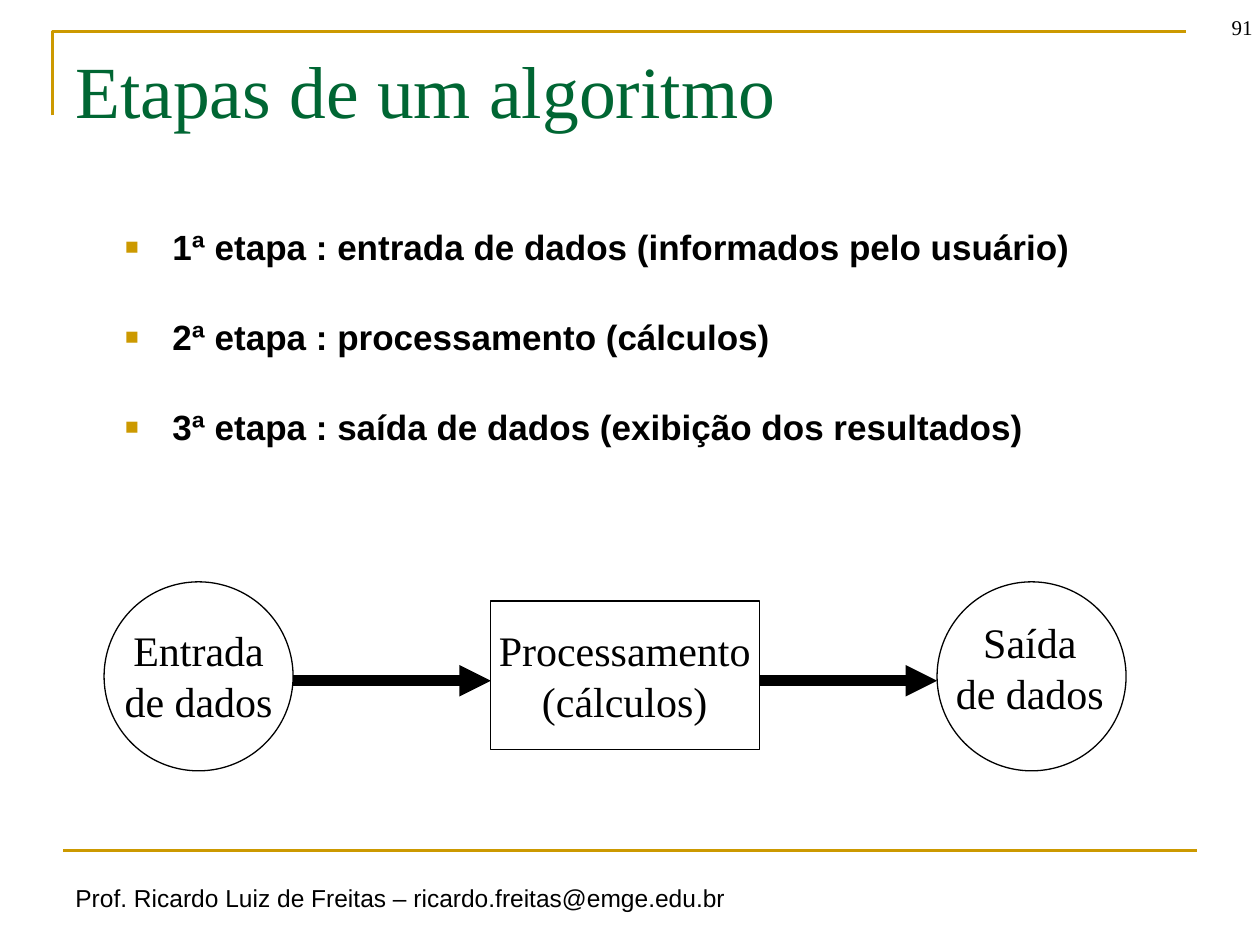
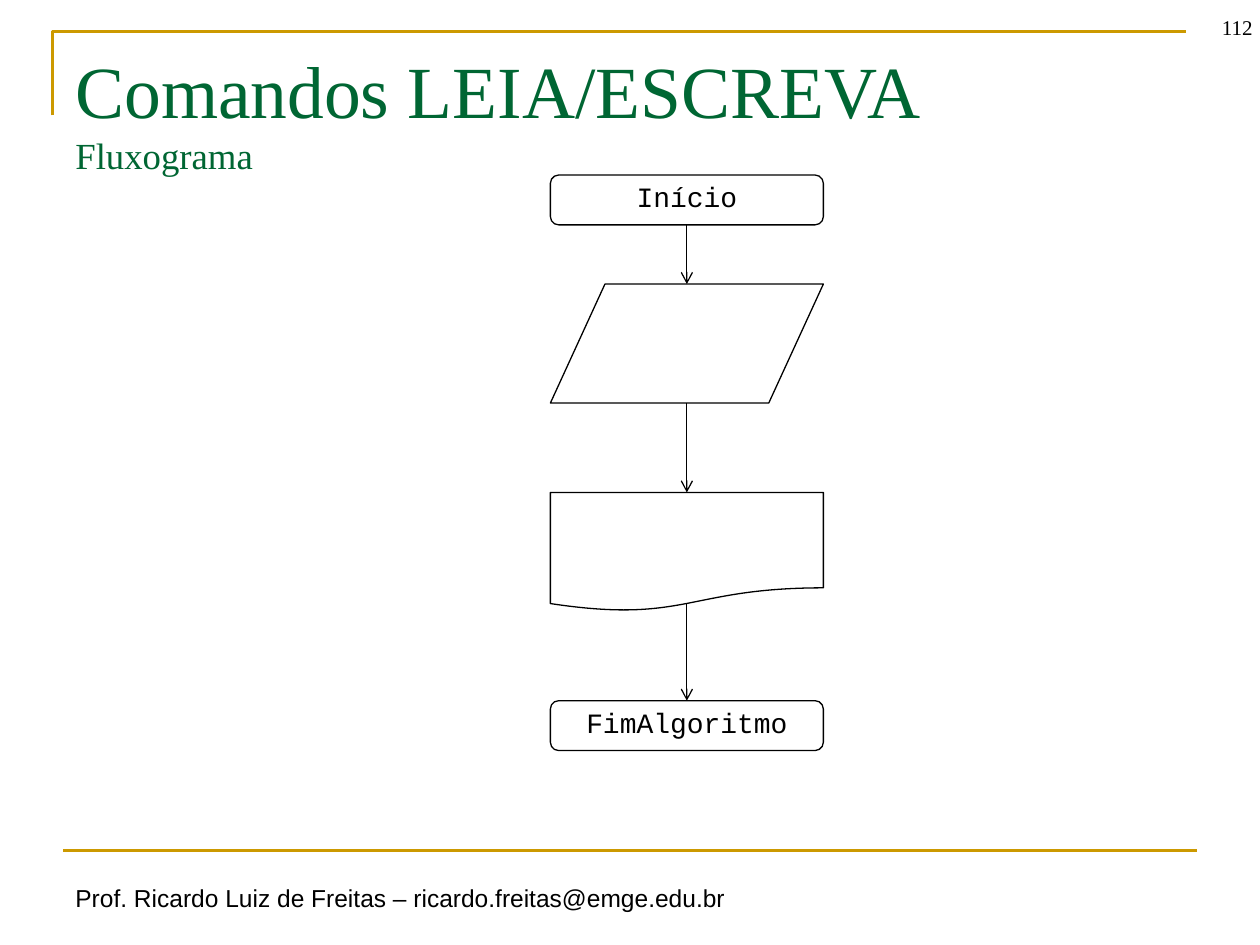
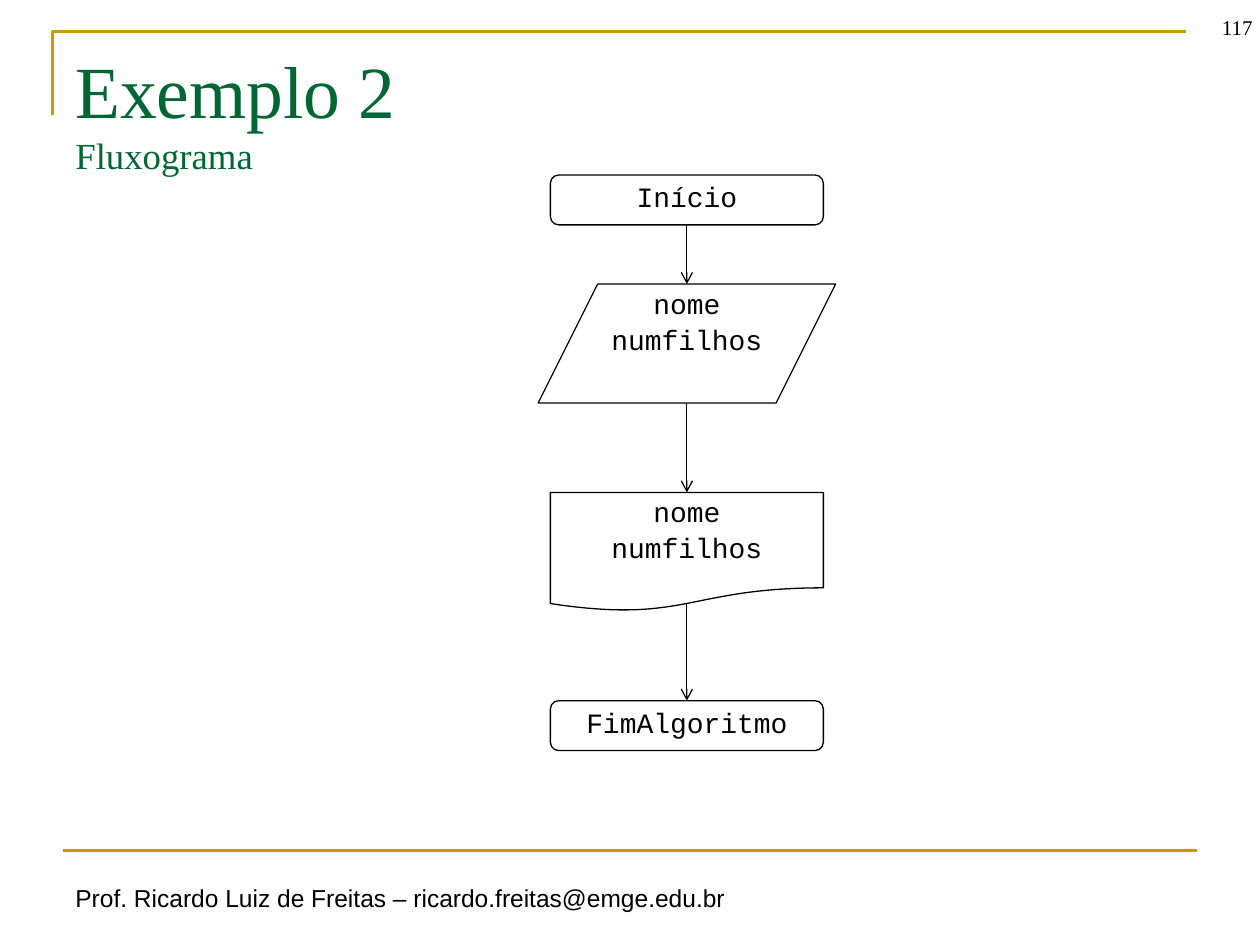
from dataclasses import dataclass

from lxml import etree
from pptx import Presentation
from pptx.dml.color import RGBColor
from pptx.enum.shapes import MSO_CONNECTOR, MSO_SHAPE
from pptx.enum.text import MSO_ANCHOR, PP_ALIGN
from pptx.oxml.ns import qn
from pptx.util import Pt

LEFT, CENTER, RIGHT = PP_ALIGN.LEFT, PP_ALIGN.CENTER, PP_ALIGN.RIGHT
TOP, BOTTOM = MSO_ANCHOR.TOP, MSO_ANCHOR.BOTTOM
STRAIGHT = MSO_CONNECTOR.STRAIGHT
OVAL, RECTANGLE = MSO_SHAPE.OVAL, MSO_SHAPE.RECTANGLE
TERMINAL = MSO_SHAPE.FLOWCHART_ALTERNATE_PROCESS
INPUT, DOCUMENT = MSO_SHAPE.FLOWCHART_DATA, MSO_SHAPE.FLOWCHART_DOCUMENT


@dataclass(frozen=True)
class Theme:
    gold: RGBColor = RGBColor(0xCC, 0x99, 0x00)
    green: RGBColor = RGBColor(0x00, 0x66, 0x33)
    black: RGBColor = RGBColor(0x00, 0x00, 0x00)
    serif: str = "Times New Roman"
    sans: str = "Arial"
    mono: str = "Courier New"
    title_size: int = 42
    subtitle_size: int = 21
    bullet_size: int = 20
    diagram_size: int = 24
    code_size: int = 16
    footer_size: int = 14
    number_size: int = 12
    band_width: float = 1.5
    outline_width: float = 0.75
    arrow_width: int = 6


THEME = Theme()


def write_text(shape, lines, *, size, font=THEME.serif, color=THEME.black, bold=False,
               align=LEFT, anchor=TOP, wrap=True, line_spacing=1.0, gap=0, bullet=None):
    frame = shape.text_frame
    frame.word_wrap = wrap
    frame.vertical_anchor = anchor
    for line in lines:
        first = not frame.text
        paragraph = frame.paragraphs[0] if first else frame.add_paragraph()
        paragraph.alignment = align
        paragraph.line_spacing = line_spacing
        paragraph.space_before = Pt(0 if first else gap)
        if bullet:
            properties = paragraph._p.get_or_add_pPr()
            properties.set("marL", str(Pt(27)))
            properties.set("indent", str(-Pt(27)))
            bullet_color = etree.SubElement(properties, qn("a:buClr"))
            etree.SubElement(bullet_color, qn("a:srgbClr"), val=str(THEME.gold))
            etree.SubElement(properties, qn("a:buSzPct"), val="65000")
            etree.SubElement(properties, qn("a:buFont"), typeface=THEME.sans)
            etree.SubElement(properties, qn("a:buChar"), char=bullet)
        run = paragraph.add_run()
        run.text = line
        run.font.name = font
        run.font.size = Pt(size)
        run.font.bold = bold
        run.font.color.rgb = color


def draw_line(slide, start, end, *, color=THEME.black, width=THEME.outline_width, arrow=None):
    connector = slide.shapes.add_connector(STRAIGHT, *map(Pt, start + end))
    connector.line.color.rgb = color
    connector.line.width = Pt(width)
    shape_properties = connector.element.spPr
    if arrow:
        etree.SubElement(shape_properties.find(qn("a:ln")), qn("a:tailEnd"), type=arrow)
    etree.SubElement(shape_properties, qn("a:effectLst"))


presentation = Presentation()
presentation.slide_width = Pt(720)
presentation.slide_height = Pt(540)

headings = [
    ("91", "Etapas de um algoritmo", []),
    ("112", "Comandos LEIA/ESCREVA", ["Fluxograma"]),
    ("117", "Exemplo 2", ["Fluxograma"]),
]
slides = []
for number, title, subtitles in headings:
    slide = presentation.slides.add_slide(presentation.slide_layouts[6])
    slides.append(slide)

    builder = slide.shapes.build_freeform(Pt(30), Pt(66))
    builder.add_line_segments([(Pt(30), Pt(18)), (Pt(678), Pt(18))], close=False)
    corner = builder.convert_to_shape()
    corner.shadow.inherit = False
    corner.fill.background()
    corner.line.color.rgb = THEME.gold
    corner.line.width = Pt(THEME.band_width)
    draw_line(slide, (36, 486), (684, 486), color=THEME.gold, width=THEME.band_width)

    footer = slide.shapes.add_textbox(Pt(36), Pt(501), Pt(397.5), Pt(24.5))
    write_text(footer, ["Prof. Ricardo Luiz de Freitas – ricardo.freitas@emge.edu.br"],
               size=THEME.footer_size, font=THEME.sans, wrap=False)
    number_box = slide.shapes.add_textbox(Pt(668.8), Pt(-10), Pt(54), Pt(36))
    write_text(number_box, [number], size=THEME.number_size, align=RIGHT, anchor=BOTTOM)
    title_box = slide.shapes.add_textbox(Pt(36), Pt(22), Pt(648), Pt(90))
    write_text(title_box, [title], size=THEME.title_size, color=THEME.green)
    write_text(title_box, subtitles, size=THEME.subtitle_size, color=THEME.green)

stages_slide = slides[0]
stages_box = stages_slide.shapes.add_textbox(Pt(64.5), Pt(128), Pt(585), Pt(175.5))
write_text(stages_box, [
    "1ª etapa : entrada de dados (informados pelo usuário)",
    "2ª etapa : processamento (cálculos)",
    "3ª etapa : saída de dados (exibição dos resultados)",
], size=THEME.bullet_size, font=THEME.sans, bold=True, line_spacing=0.9, gap=29.8, bullet="■")

stages = [
    (OVAL, (59.5, 332.5, 108, 108), (59.5, 353.5, 108, 65), ["Entrada", "de dados"]),
    (RECTANGLE, (280.5, 343.5, 153.5, 85), (272, 353.5, 170, 65), ["Processamento", "(cálculos)"]),
    (OVAL, (535.5, 332.5, 108, 108), (534.5, 349, 108, 65), ["Saída", "de dados"]),
]
for kind, outline_place, label_place, lines in stages:
    outline = stages_slide.shapes.add_shape(kind, *map(Pt, outline_place))
    outline.shadow.inherit = False
    outline.fill.background()
    outline.line.color.rgb = THEME.black
    outline.line.width = Pt(THEME.outline_width)
    label = stages_slide.shapes.add_textbox(*map(Pt, label_place))
    write_text(label, lines, size=THEME.diagram_size, align=CENTER, wrap=False)

for (_, source, _, _), (_, target, _, _) in zip(stages, stages[1:]):
    draw_line(stages_slide, (source[0] + source[2], 389), (target[0], 389),
              width=THEME.arrow_width, arrow="triangle")

flow_center = 392.5
flowcharts = [
    (slides[1], 156, []),
    (slides[2], 170, ["nome", "numfilhos"]),
]
for slide, input_width, variables in flowcharts:
    steps = [
        (TERMINAL, 100, 156, 28.5, ["Início"]),
        (INPUT, 162.3, input_width, 68, variables),
        (DOCUMENT, 281.4, 156, 68, variables),
        (TERMINAL, 400.4, 156, 28.5, ["FimAlgoritmo"]),
    ]
    for kind, top, width, height, lines in steps:
        step = slide.shapes.add_shape(
            kind, Pt(flow_center - width / 2), Pt(top), Pt(width), Pt(height))
        step.shadow.inherit = False
        step.fill.background()
        step.line.color.rgb = THEME.black
        step.line.width = Pt(THEME.outline_width)
        write_text(step, lines, size=THEME.code_size, font=THEME.mono,
                   align=CENTER, line_spacing=0.9, gap=3.2)
    for start, end in [(128.5, 162.3), (230.3, 281.4), (345, 400.4)]:
        draw_line(slide, (flow_center, start), (flow_center, end), arrow="arrow")

presentation.save("out.pptx")
